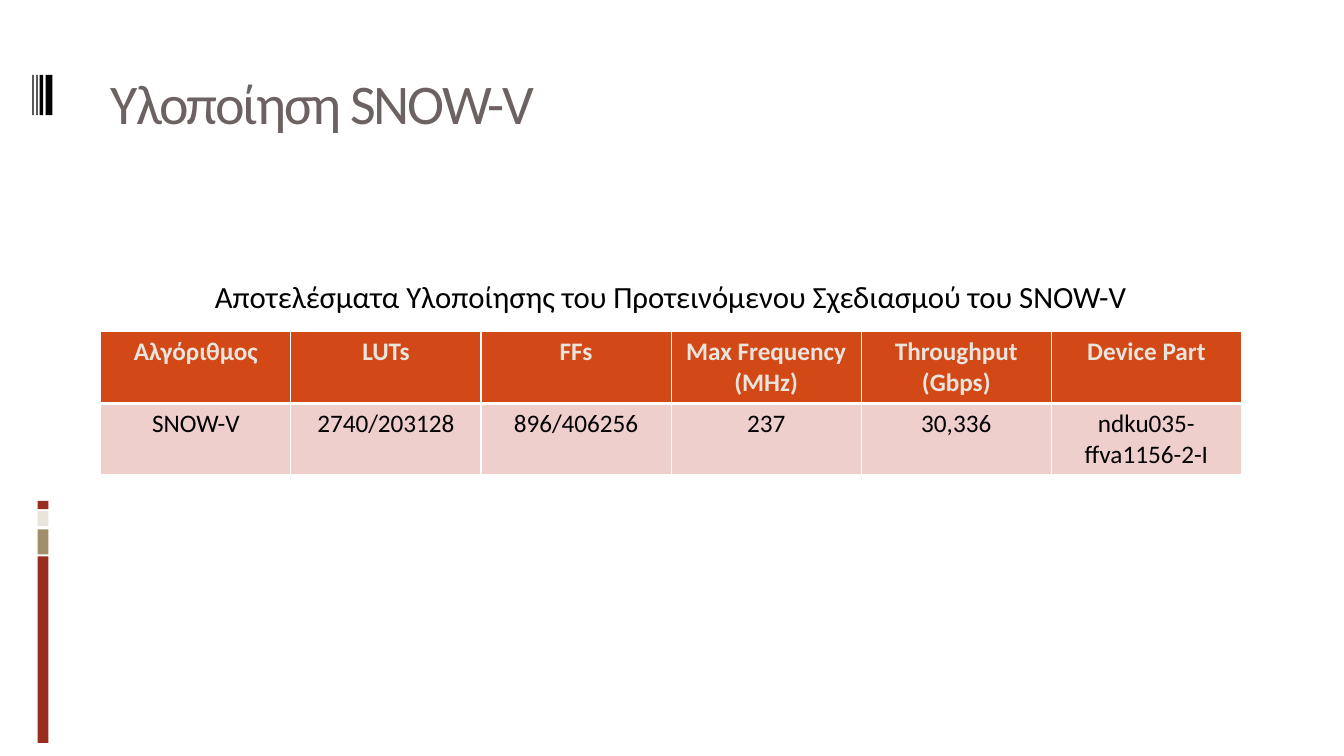
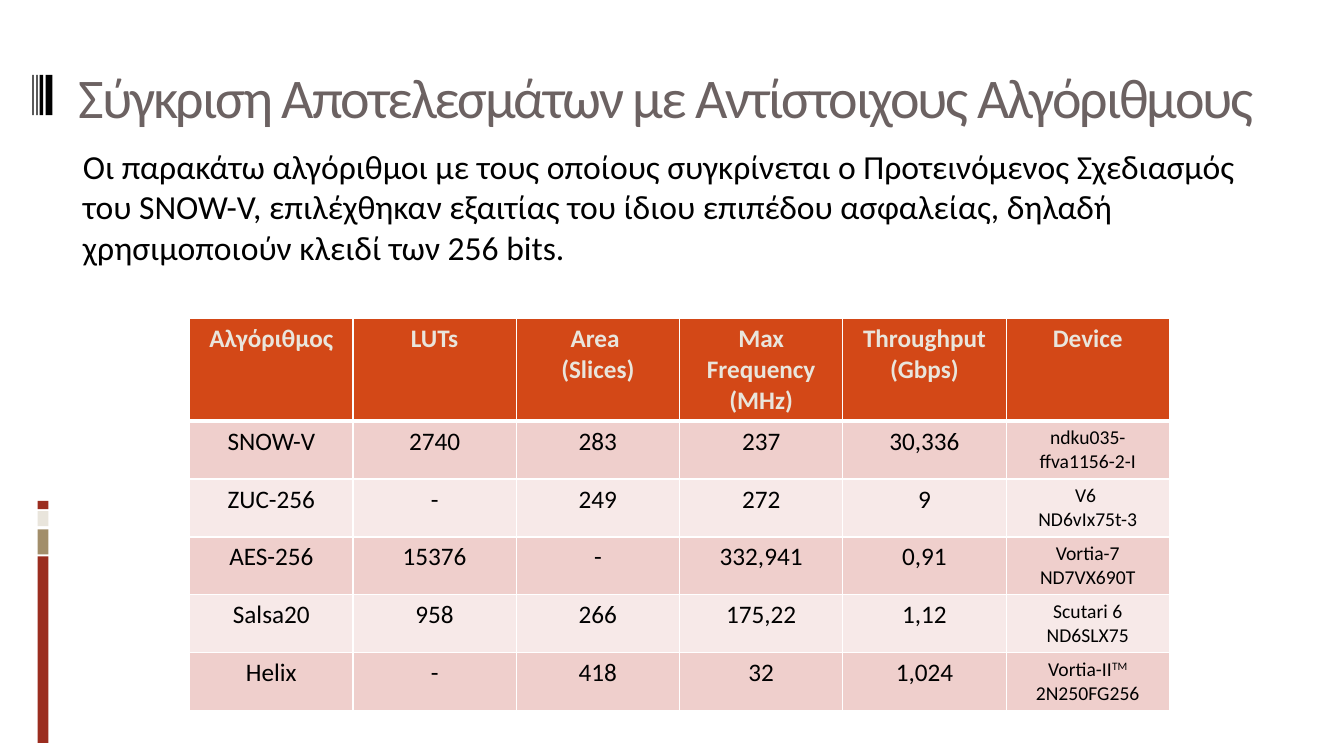
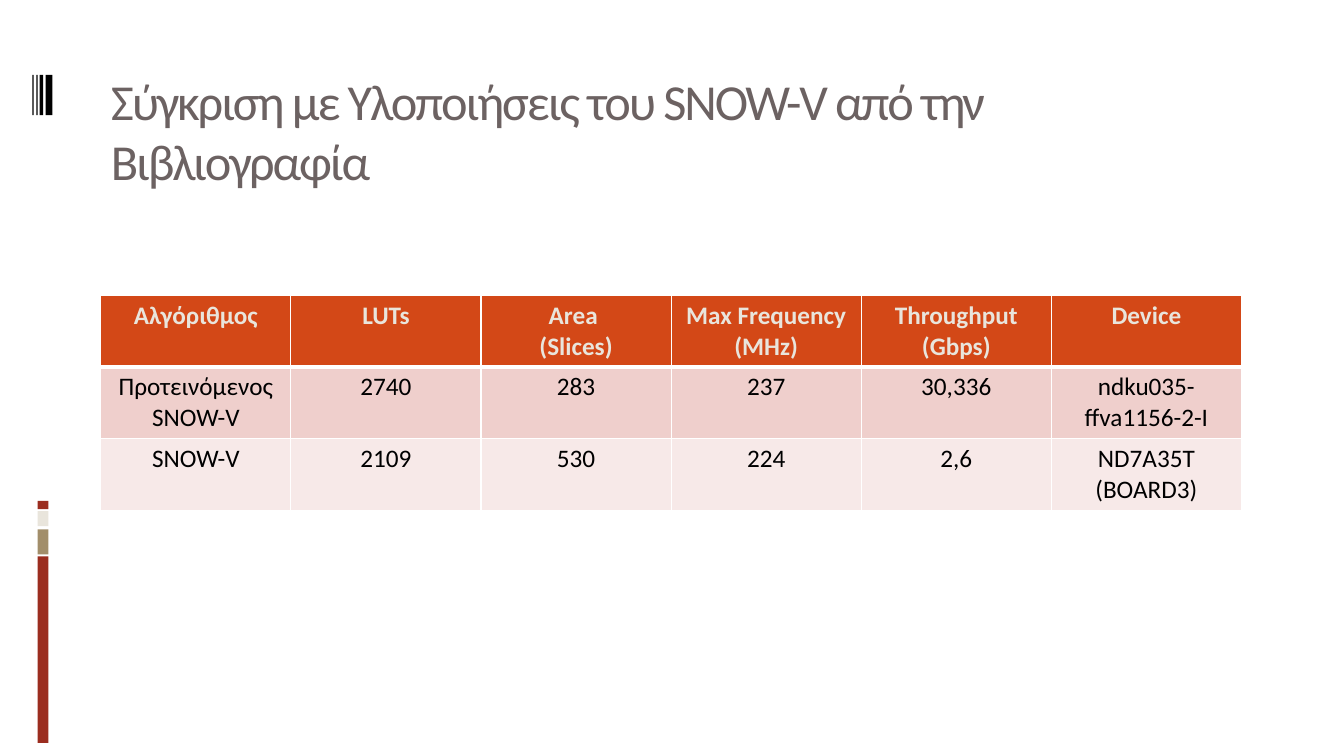
from dataclasses import dataclass
from typing import Optional

from lxml import etree
from pptx import Presentation
from pptx.dml.color import RGBColor
from pptx.enum.shapes import MSO_SHAPE
from pptx.enum.text import MSO_ANCHOR, MSO_AUTO_SIZE, PP_ALIGN
from pptx.oxml.ns import qn
from pptx.util import Cm, Pt

RECTANGLE = MSO_SHAPE.RECTANGLE
TOP = MSO_ANCHOR.TOP
NO_AUTOFIT = MSO_AUTO_SIZE.NONE
LEFT, CENTER = PP_ALIGN.LEFT, PP_ALIGN.CENTER


@dataclass(frozen=True)
class Theme:
    font: str = "Calibri"
    ink: str = "000000"
    title: str = "6C6262"
    brick: str = "9B2D1F"
    olive: str = "A28E6A"
    sand: str = "E9E5DC"
    header: str = "D34817"
    row_bands: tuple[str, str] = ("EFCFCC", "F7E9E8")
    rule: str = "FFFFFF"
    title_size: float = 40
    long_title_size: float = 36
    body_size: float = 24
    caption_size: float = 22
    table_size: float = 18
    small_size: float = 14
    title_tracking: float = -1.5
    thin_rule: float = 1
    thick_rule: float = 3


THEME = Theme()


@dataclass(frozen=True)
class Box:
    left: float
    top: float
    width: float
    height: float

    def lengths(self) -> tuple[Cm, Cm, Cm, Cm]:
        return Cm(self.left), Cm(self.top), Cm(self.width), Cm(self.height)


@dataclass(frozen=True)
class Bar:
    box: Box
    color: str


@dataclass(frozen=True)
class TextBlock:
    text: str
    box: Box
    size: float
    align: PP_ALIGN = LEFT
    inset: float = 0.25


@dataclass(frozen=True)
class ResultsTable:
    left: float
    top: float
    width: float
    header_height: float
    row_height: float
    rows: list[list[str]]
    device_size: float = THEME.table_size


@dataclass(frozen=True)
class ResultsSlide:
    title: str
    title_box: Box
    results: ResultsTable
    title_size: float = THEME.title_size
    note: Optional[TextBlock] = None


COLUMN_BARS = [
    Bar(Box(0.95, top, 0.27, height), color)
    for top, height, color in [
        (14.02, 4.7, THEME.brick),
        (13.34, 0.63, THEME.olive),
        (12.88, 0.38, THEME.sand),
        (12.62, 0.21, THEME.brick),
    ]
]
BARCODE = [
    Bar(Box(left, 1.89, width, 1.01), THEME.ink)
    for left, width in [(1.15, 0.17), (1.0, 0.09), (0.92, 0.03), (0.82, 0.03)]
]

SLIDES = [
    ResultsSlide(
        "Υλοποίηση SNOW-V",
        Box(2.54, 1.6, 28.75, 2.7),
        ResultsTable(2.54, 8.36, 28.75, 1.78, 1.78, [
            ["Αλγόριθμος", "LUTs", "FFs", "Max Frequency (MHz)", "Throughput (Gbps)", "Device Part"],
            ["SNOW-V", "2740/203128", "896/406256", "237", "30,336", "ndku035- ffva1156-2-I"],
        ]),
        note=TextBlock(
            "Αποτελέσματα Υλοποίησης του Προτεινόμενου Σχεδιασμού του SNOW-V",
            Box(3.91, 6.88, 25.98, 1.2), THEME.caption_size, CENTER,
        ),
    ),
    ResultsSlide(
        "Σύγκριση Αποτελεσμάτων με Αντίστοιχους Αλγόριθμους",
        Box(1.73, 1.45, 30.43, 2.1),
        ResultsTable(4.78, 8.03, 24.69, 2.56, 1.46, [
            ["Αλγόριθμος", "LUTs", "Area \v(Slices)", "Max Frequency (MHz)", "Throughput (Gbps)", "Device"],
            ["SNOW-V", "2740", "283", "237", "30,336", "ndku035-ffva1156-2-I"],
            ["ZUC-256", "-", "249", "272", "9", "V6 \vND6vIx75t-3"],
            ["AES-256", "15376", "-", "332,941", "0,91", "Vortia-7 ND7VX690T"],
            ["Salsa20", "958", "266", "175,22", "1,12", "Scutari 6\nND6SLX75"],
            ["Helix", "-", "418", "32", "1,024", "Vortia-II^TM^ 2N250FG256"],
        ], THEME.small_size),
        note=TextBlock(
            "Οι παρακάτω αλγόριθμοι με τους οποίους συγκρίνεται ο Προτεινόμενος Σχεδιασμός "
            "του SNOW-V, επιλέχθηκαν εξαιτίας του ίδιου επιπέδου ασφαλείας, δηλαδή "
            "χρησιμοποιούν κλειδί των 256 bits.",
            Box(1.73, 3.55, 30.43, 3.4), THEME.body_size, inset=0.36,
        ),
    ),
    ResultsSlide(
        "Σύγκριση με Υλοποιήσεις του SNOW-V από την Βιβλιογραφία",
        Box(2.54, 1.63, 28.75, 3.4),
        ResultsTable(2.54, 7.44, 28.75, 1.78, 1.78, [
            ["Αλγόριθμος", "LUTs", "Area \v(Slices)", "Max Frequency (MHz)", "Throughput (Gbps)", "Device"],
            ["Προτεινόμενος SNOW-V", "2740", "283", "237", "30,336", "ndku035- ffva1156-2-I"],
            ["SNOW-V", "2109", "530", "224", "2,6", "ND7A35T (BOARD3)"],
        ]),
        THEME.long_title_size,
    ),
]


def write_text(frame, text: str, *, size: float, color: str = THEME.ink, bold: bool = False,
               align: PP_ALIGN = LEFT, tracking: float = 0) -> None:
    for index, line in enumerate(text.split("\n")):
        paragraph = frame.paragraphs[0] if index == 0 else frame.add_paragraph()
        paragraph.alignment = align
        base, *marked = line.split("^")
        paragraph.text = base
        for piece in marked:
            paragraph.add_run().text = piece
        for run in paragraph.runs:
            run.font.name = THEME.font
            run.font.size = Pt(size)
            run.font.bold = bold
            run.font.color.rgb = RGBColor.from_string(color)
            if tracking:
                run._r.get_or_add_rPr().set("spc", str(round(tracking * 100)))
        if marked:
            paragraph.runs[1]._r.get_or_add_rPr().set("baseline", "30000")


def add_layout_bars(layout, slide) -> None:
    for number, bar in enumerate(COLUMN_BARS + BARCODE, start=101):
        shape = slide.shapes.add_shape(RECTANGLE, *bar.box.lengths())
        shape.shadow.inherit = False
        shape.fill.solid()
        shape.fill.fore_color.rgb = RGBColor.from_string(bar.color)
        shape.line.fill.background()
        element = shape._element
        element.nvSpPr.cNvPr.set("id", str(number))
        layout.shapes._spTree.append(element)


def set_title(slide, text: str, box: Box, size: float) -> None:
    title = slide.shapes.title
    title.left, title.top, title.width, title.height = box.lengths()
    frame = title.text_frame
    frame.auto_size = NO_AUTOFIT
    frame.vertical_anchor = TOP
    frame.word_wrap = True
    write_text(frame, text, size=size, color=THEME.title, tracking=THEME.title_tracking)


def add_note(slide, note: TextBlock) -> None:
    frame = slide.shapes.add_textbox(*note.box.lengths()).text_frame
    frame.word_wrap = True
    frame.margin_left = Cm(note.inset)
    write_text(frame, note.text, size=note.size, align=note.align)


def set_borders(cell, top: float, bottom: float) -> None:
    properties = cell._tc.get_or_add_tcPr()
    widths = {"a:lnL": THEME.thin_rule, "a:lnR": THEME.thin_rule, "a:lnT": top, "a:lnB": bottom}
    for position, (tag, width) in enumerate(widths.items()):
        border = etree.Element(qn(tag), w=str(Pt(width)))
        fill = etree.SubElement(border, qn("a:solidFill"))
        etree.SubElement(fill, qn("a:srgbClr"), val=THEME.rule)
        properties.insert(position, border)


def add_results(slide, results: ResultsTable) -> None:
    row_count, column_count = len(results.rows), len(results.rows[0])
    height = results.header_height + (row_count - 1) * results.row_height
    box = Box(results.left, results.top, results.width, height)
    table = slide.shapes.add_table(row_count, column_count, *box.lengths()).table
    table.horz_banding = False
    for column in table.columns:
        column.width = Cm(results.width / column_count)
    for row_index, values in enumerate(results.rows):
        is_header = row_index == 0
        table.rows[row_index].height = Cm(results.header_height if is_header else results.row_height)
        fill = THEME.header if is_header else THEME.row_bands[(row_index - 1) % 2]
        for column_index, value in enumerate(values):
            cell = table.cell(row_index, column_index)
            cell.fill.solid()
            cell.fill.fore_color.rgb = RGBColor.from_string(fill)
            set_borders(
                cell,
                top=THEME.thick_rule if row_index == 1 else THEME.thin_rule,
                bottom=THEME.thick_rule if is_header else THEME.thin_rule,
            )
            is_device = column_index == column_count - 1 and not is_header
            write_text(
                cell.text_frame, value,
                size=results.device_size if is_device else THEME.table_size,
                color=THEME.sand if is_header else THEME.ink,
                bold=is_header, align=CENTER,
            )


def main() -> None:
    deck = Presentation()
    deck.slide_width, deck.slide_height = Cm(33.87), Cm(19.05)
    layout = deck.slide_layouts.get_by_name("Title Only")
    for index, content in enumerate(SLIDES):
        slide = deck.slides.add_slide(layout)
        if index == 0:
            add_layout_bars(layout, slide)
        set_title(slide, content.title, content.title_box, content.title_size)
        add_results(slide, content.results)
        if content.note:
            add_note(slide, content.note)
    deck.save("out.pptx")


if __name__ == "__main__":
    main()
